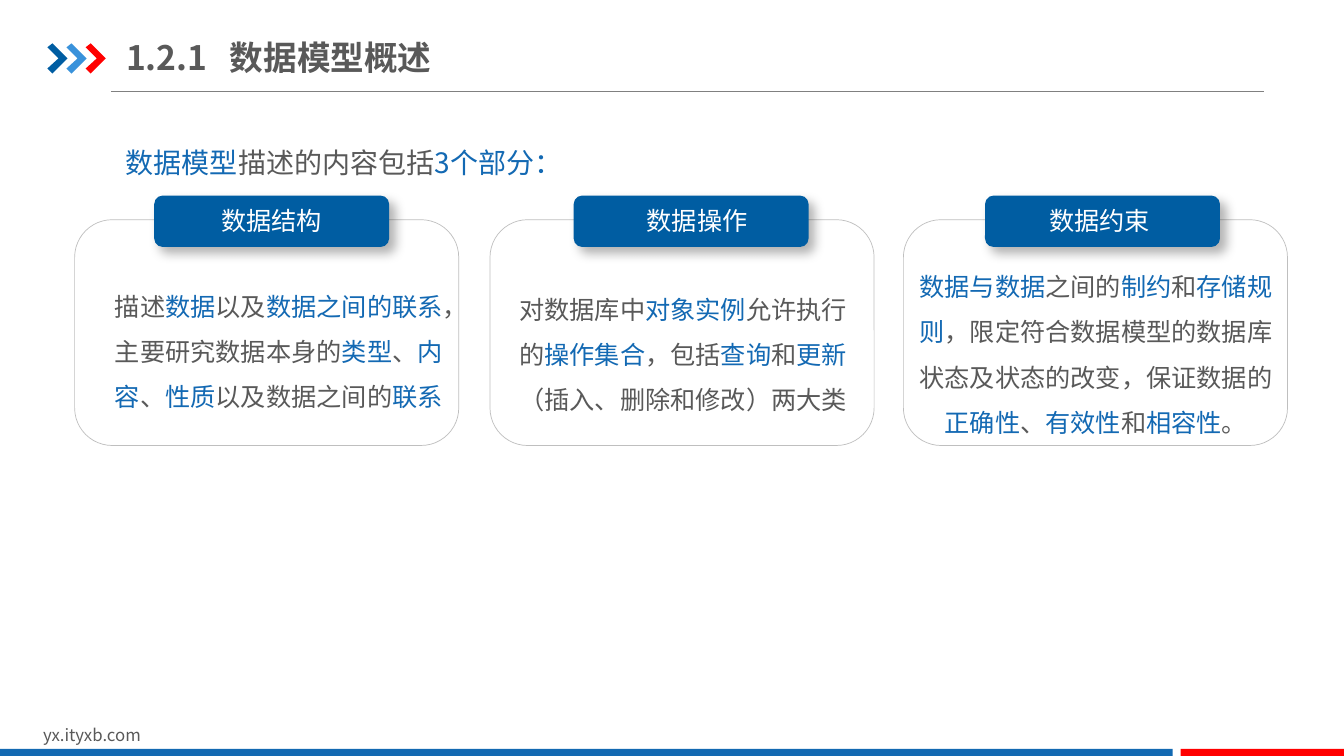
from dataclasses import dataclass

from lxml import etree
from pptx import Presentation
from pptx.dml.color import RGBColor
from pptx.enum.shapes import MSO_CONNECTOR, MSO_SHAPE
from pptx.enum.text import MSO_ANCHOR, MSO_AUTO_SIZE, PP_ALIGN
from pptx.oxml.ns import qn
from pptx.util import Inches, Pt

RECT, ROUNDED = MSO_SHAPE.RECTANGLE, MSO_SHAPE.ROUNDED_RECTANGLE
STRAIGHT = MSO_CONNECTOR.STRAIGHT
TOP, MIDDLE = MSO_ANCHOR.TOP, MSO_ANCHOR.MIDDLE
LEFT, CENTER = PP_ALIGN.LEFT, PP_ALIGN.CENTER
FIXED = MSO_AUTO_SIZE.NONE


@dataclass(frozen=True)
class Theme:
    font: str = "Noto Sans CJK SC"
    gray: str = "595959"
    blue: str = "1369B2"
    accent: str = "1369B3"
    navy: str = "005DA2"
    sky: str = "3992DB"
    red: str = "FF0000"
    white: str = "FFFFFF"
    rule: str = "808080"
    outline: str = "BFBFBF"
    title: int = 24
    lead: int = 20
    body: int = 18
    footer: int = 12


THEME = Theme()

# Asterisks enclose the highlighted words.
# Lefts and boxes in inches: card left, tab left, label left, body (left, top, width)
CARDS = [
    (0.74, 1.53, 2.04, (0.97, 2.84, 3.59), "数据结构",
     "描述*数据*以及*数据之间的联系*，主要研究数据本身的*类型*、*内容*、*性质*以及数据之间的*联系*"),
    (4.86, 5.69, 6.26, (4.98, 2.87, 3.59), "数据操作",
     "对数据库中*对象实例*允许执行的*操作集合*，包括*查询*和*更新*（插入、删除和修改）两大类"),
    (8.96, 9.77, 10.25, (8.99, 2.87, 3.76), "数据约束",
     "*数据与数据*之间的*制约*和*存储规则*，限定符合数据模型的数据库状态及状态的改变，"
     "保证数据的*正确性*、*有效性*和*相容性*。"),
]


def inches(*lengths):
    return [Inches(length) for length in lengths]


def write(shape, text, size, color=THEME.gray, bold=False, anchor=TOP, align=LEFT, spacing=1.0):
    frame = shape.text_frame
    frame_format = {"word_wrap": True, "auto_size": FIXED, "vertical_anchor": anchor}
    for name, value in frame_format.items():
        setattr(frame, name, value)
    para = frame.paragraphs[0]
    para.alignment, para.line_spacing = align, spacing
    for index, words in enumerate(text.split("*")):
        if not words:
            continue
        span = para.add_run()
        span.text = words
        for name, value in {"size": Pt(size), "bold": bold, "name": THEME.font}.items():
            setattr(span.font, name, value)
        span.font.color.rgb = RGBColor.from_string(THEME.accent if index % 2 else color)
        east_asian = etree.SubElement(span.font._element, qn("a:ea"))
        east_asian.set("typeface", THEME.font)
    return para


def add_text(page, box, text, size, **formats):
    return write(page.shapes.add_textbox(*inches(*box)), text, size, **formats)


def paint(shape, fill=None, line=None):
    shape.shadow.inherit = False
    if fill:
        shape.fill.solid()
        shape.fill.fore_color.rgb = RGBColor.from_string(fill)
    else:
        shape.fill.background()
    if line:
        shape.line.color.rgb = RGBColor.from_string(line)
        shape.line.width = Pt(0.5)
    else:
        shape.line.fill.background()


def add_block(page, preset, box, **colors):
    block = page.shapes.add_shape(preset, *inches(*box))
    paint(block, **colors)
    return block


def cast_shadow(shape):
    effects = shape._element.spPr.find(qn("a:effectLst"))
    shadow = etree.SubElement(effects, qn("a:outerShdw"), blurRad=str(Pt(8)), dist=str(Pt(6)),
                              dir=str(45 * 60000), algn="tl", rotWithShape="0")
    black = etree.SubElement(shadow, qn("a:srgbClr"), val="000000")
    etree.SubElement(black, qn("a:alpha"), val="30000")


def add_chevron(page, left, top, color):
    corners = [(0, 0.04), (0.05, 0), (0.2, 0.15), (0.05, 0.3), (0, 0.25), (0.11, 0.15)]
    points = [inches(left + x, top + y) for x, y in corners]
    outline = page.shapes.build_freeform(*points[0], scale=1.0)
    outline.add_line_segments(points[1:], close=True)
    paint(outline.convert_to_shape(), fill=color)


def add_header(page, left, top):
    # Chevrons
    for index, color in enumerate((THEME.navy, THEME.sky, THEME.red)):
        add_chevron(page, left + index * 0.19, top + 0.14, color)

    # Title, with a tab between number and name
    title = page.shapes.title
    title.left, title.top, title.width, title.height = inches(left + 0.78, top, 4.26, 0.55)
    para = write(title, "1.2.1\t数据模型概述", THEME.title, bold=True, anchor=MIDDLE)
    frame = title.text_frame
    frame.margin_left = frame.margin_right = 0
    tabs = etree.SubElement(para._p.get_or_add_pPr(), qn("a:tabLst"))
    etree.SubElement(tabs, qn("a:tab"), pos=str(Inches(1.03)), algn="l")

    # Rule
    y = top + 0.62
    rule = page.shapes.add_connector(STRAIGHT, *inches(left + 0.63, y, left + 12.07, y))
    rule.line.color.rgb = RGBColor.from_string(THEME.rule)
    rule.line.width = Pt(0.75)
    etree.SubElement(rule._element.spPr, qn("a:effectLst"))


def add_card(page, top, card_left, tab_left, label_left, body, label, text):
    add_block(page, ROUNDED, (card_left, top, 3.81, 2.24), line=THEME.outline)
    tab = add_block(page, ROUNDED, (tab_left, top - 0.24, 2.33, 0.51), fill=THEME.navy)
    cast_shadow(tab)
    add_text(page, (label_left, top - 0.19, 1.31, 0.4), label, THEME.body,
             color=THEME.white, align=CENTER)
    add_text(page, (*body, 1.14), text, THEME.body, anchor=MIDDLE, align=CENTER, spacing=1.5)


def add_footer(page, top):
    add_text(page, (0.33, top - 0.29, 3.18, 0.3), "yx.ityxb.com", THEME.footer)
    for left, width, color in ((0, 11.63, THEME.blue), (11.71, 1.63, THEME.red)):
        add_block(page, RECT, (left, top, width, 0.09), fill=color)


def main():
    deck = Presentation()
    deck.slide_width, deck.slide_height = inches(13.33, 7.5)
    page = deck.slides.add_slide(deck.slide_layouts.get_by_name("Title Only"))
    add_header(page, 0.47, 0.29)
    add_text(page, (1.15, 1.23, 11.1, 0.61), "*数据模型*描述的内容包括*3个部分：*",
             THEME.lead, spacing=1.5)
    for card in CARDS:
        add_card(page, 2.18, *card)
    add_footer(page, 7.43)
    deck.save("out.pptx")


if __name__ == "__main__":
    main()
